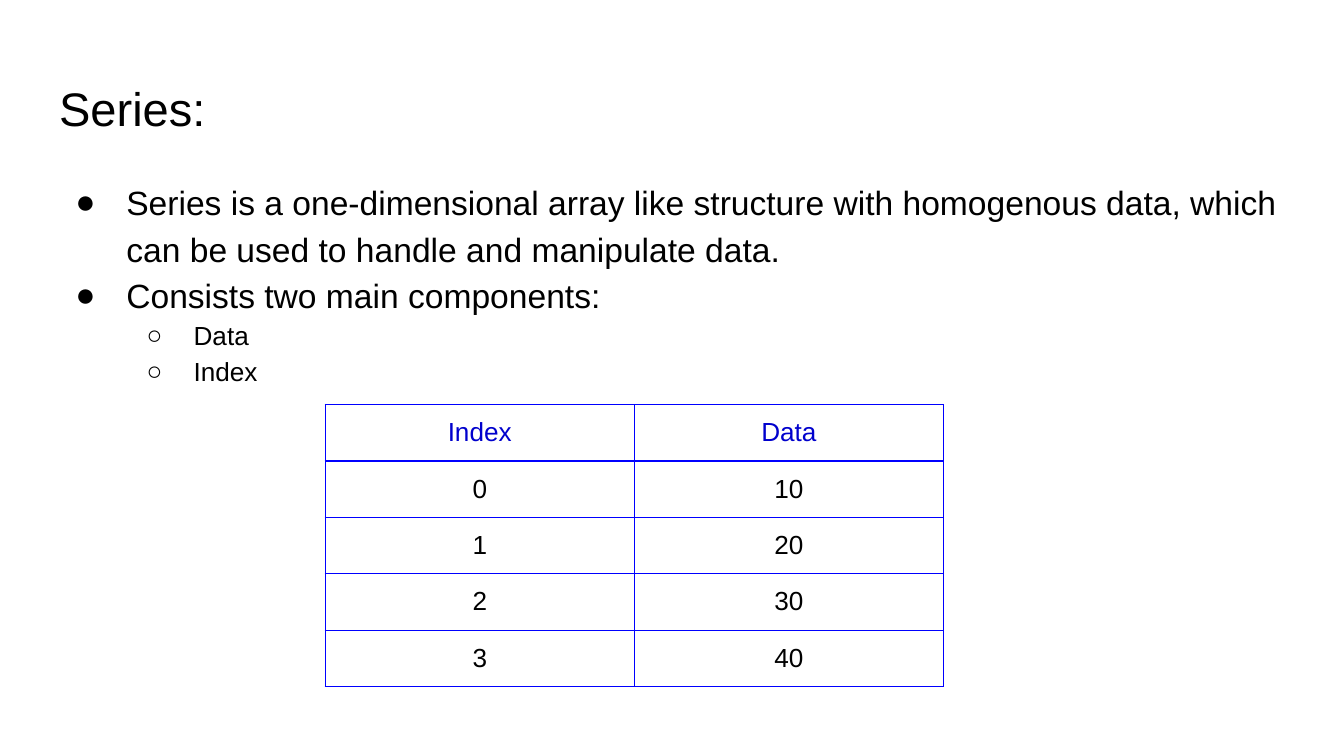
"""Build the slide that explains what a Series consists of."""
import lxml.etree
import pptx
import pptx.dml.color
import pptx.enum.text
import pptx.oxml.ns
import pptx.util

Inches = pptx.util.Inches
Pt = pptx.util.Pt
Align = pptx.enum.text.PP_ALIGN
Anchor = pptx.enum.text.MSO_ANCHOR
qn = pptx.oxml.ns.qn

TITLE = "Series:"
POINTS = [
    (0, "Series is a one-dimensional array like structure with homogenous data, "
        "which can be used to handle and manipulate data."),
    (0, "Consists two main components:"),
    (1, "Data"),
    (1, "Index"),
]
ROWS = [("Index", "Data"), ("0", "10"), ("1", "20"), ("2", "30"), ("3", "40")]

FONT = "Arial"
COLORS = {"text": "000000", "head": "0000CD", "grid": "0000FF", "back": "FFFFFF"}
LEVELS = [
    {"size": 18, "mark": "●", "left": 0.5, "hang": 0.38},
    {"size": 14, "mark": "○", "left": 1, "hang": 0.35},
]
WIDTH = 10
HEIGHT = WIDTH * 9 / 16
BOXES = {
    "title": (0.34, 0.49, 9.32, 0.63),
    "body": (0.34, 1.21, 9.32, 3.74),
    "table": (2.42, 3.01, 4.6, 2.1),
}
PAD = {f"margin_{side}": Inches(0.1) for side in ("left", "top", "right", "bottom")}
FRAME = {**PAD, "word_wrap": True, "auto_size": pptx.enum.text.MSO_AUTO_SIZE.NONE}
LINE = {"space_before": Pt(0), "space_after": Pt(0)}


def apply(item, values):
    for name, value in values.items():
        setattr(item, name, value)


def write(para, text, size, color="text", **values):
    run = para.add_run()
    run.text = text
    apply(run.font, {"name": FONT, "size": Pt(size), "bold": False})
    run.font.color.rgb = pptx.dml.color.RGBColor.from_string(COLORS[color])
    apply(para, {**LINE, **values})


def place(shape, box, anchor):
    names = ("left", "top", "width", "height")
    apply(shape, dict(zip(names, map(Inches, box))))
    apply(shape.text_frame, {**FRAME, "vertical_anchor": anchor})


def tint(node, color):
    lxml.etree.SubElement(node, qn("a:srgbClr"), val=COLORS[color])


def bullet(para, look):
    props = para._p.get_or_add_pPr()
    props.set("marL", str(Inches(look["left"])))
    props.set("indent", str(-Inches(look["hang"])))
    tint(lxml.etree.SubElement(props, qn("a:buClr")), "text")
    lxml.etree.SubElement(props, qn("a:buFont"), typeface=FONT)
    lxml.etree.SubElement(props, qn("a:buChar"), char=look["mark"])


def border(cell):
    props = cell._tc.get_or_add_tcPr()
    for spot, side in enumerate("LRTB"):
        edge = lxml.etree.Element(qn(f"a:ln{side}"), w=str(Pt(0.75)))
        tint(lxml.etree.SubElement(edge, qn("a:solidFill")), "grid")
        props.insert(spot, edge)


def main():
    deck = pptx.Presentation()
    apply(deck, {"slide_width": Inches(WIDTH), "slide_height": Inches(HEIGHT)})
    slide = deck.slides.add_slide(deck.slide_layouts[1])
    fill = slide.background.fill
    fill.solid()
    fill.fore_color.rgb = pptx.dml.color.RGBColor.from_string(COLORS["back"])

    title, body = slide.placeholders
    place(title, BOXES["title"], Anchor.MIDDLE)
    write(title.text_frame.paragraphs[0], TITLE, 25.2, alignment=Align.LEFT)

    place(body, BOXES["body"], Anchor.TOP)
    frame = body.text_frame
    for num, (level, text) in enumerate(POINTS):
        para = frame.add_paragraph() if num else frame.paragraphs[0]
        look = LEVELS[level]
        write(para, text, look["size"], level=level, line_spacing=1.15)
        bullet(para, look)

    size = len(ROWS), len(ROWS[0])
    table = slide.shapes.add_table(*size, *map(Inches, BOXES["table"])).table
    apply(table, {"first_row": False, "horz_banding": False})
    for row, texts in enumerate(ROWS):
        for col, text in enumerate(texts):
            cell = table.cell(row, col)
            apply(cell, PAD)
            cell.fill.background()
            border(cell)
            color = "text" if row else "head"
            write(cell.text_frame.paragraphs[0], text, 14, color, alignment=Align.CENTER)

    deck.save("out.pptx")


if __name__ == "__main__":
    main()
